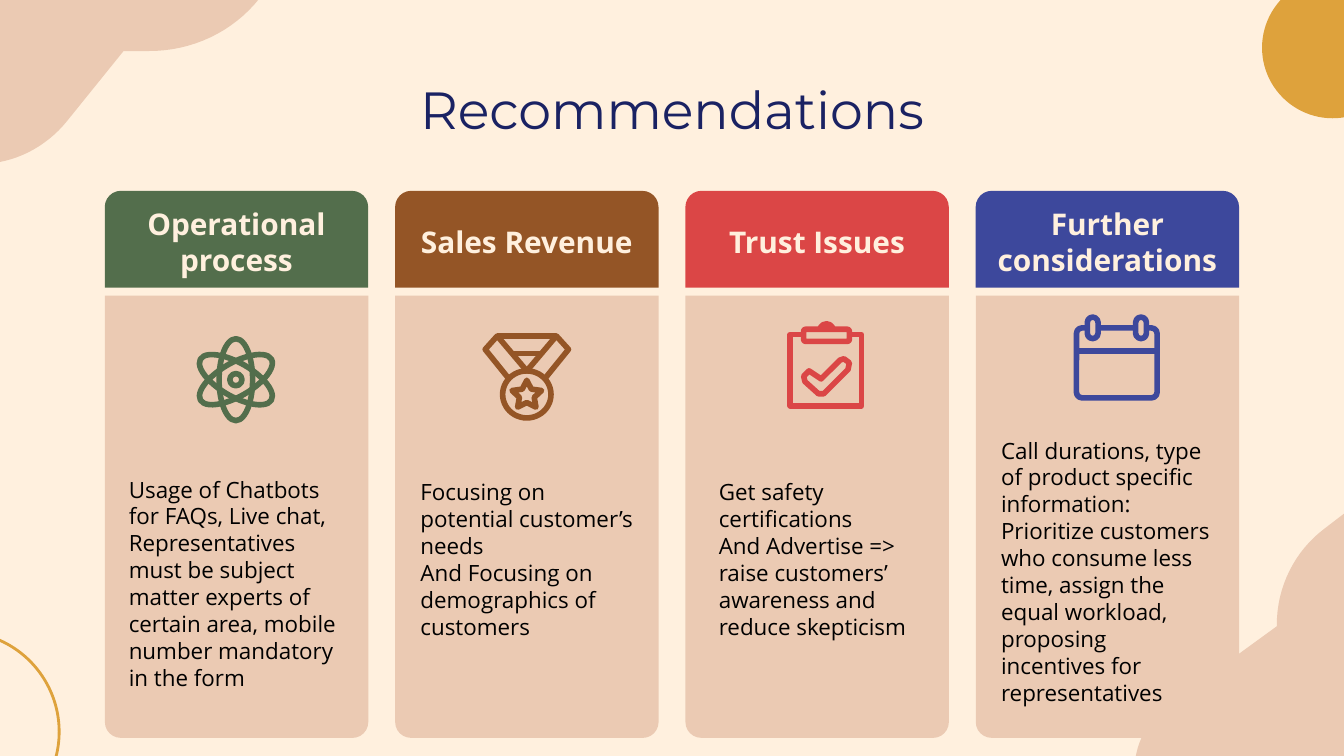
from pptx import Presentation
from pptx.util import Inches, Pt
from pptx.dml.color import RGBColor
from pptx.enum.shapes import MSO_SHAPE as Kind, MSO_CONNECTOR as Wire
from pptx.enum.text import PP_ALIGN as Align, MSO_ANCHOR as Anchor
from pptx.oxml.ns import qn
from lxml.etree import SubElement

HUES = {"cream": "FFF0DE", "sand": "EBCAB3", "gold": "DEA23C", "navy": "1A2263",
        "black": "000000", "green": "536E4C", "brown": "945526",
        "red": "DB4646", "blue": "3D489C"}
LEFT, TOP, WIDE, STEP = 0.78, 1.42, 1.96, 2.16
STROKE = 3


def rgb(hue):
    return RGBColor.from_string(HUES[hue])


def paint(shape, fill=None, line=None, width=STROKE):
    shape.shadow.inherit = False
    if fill:
        shape.fill.solid()
        shape.fill.fore_color.rgb = rgb(fill)
    else:
        shape.fill.background()
    if line:
        shape.line.color.rgb = rgb(line)
        shape.line.width = Pt(width)
        SubElement(shape._element.spPr.find(qn("a:ln")), qn("a:round"))
    else:
        shape.line.fill.background()
    return shape


def add(slide, kind, box, **look):
    return paint(slide.shapes.add_shape(kind, *map(Inches, box)), **look)


def trace(slide, pts, close=True, **look):
    pts = [(Inches(x), Inches(y)) for x, y in pts]
    pen = slide.shapes.build_freeform(*pts[0])
    pen.add_line_segments(pts[1:], close=close)
    return paint(pen.convert_to_shape(), **look)


def write(shape, lines, hue, anchor=Anchor.TOP, align=Align.LEFT, **font):
    frame = shape.text_frame
    form = {"word_wrap": True, "vertical_anchor": anchor}
    for side in ("left", "right", "top", "bottom"):
        form["margin_" + side] = Inches(0.1)
    for key, value in form.items():
        setattr(frame, key, value)
    for i, line in enumerate(lines):
        para = frame.add_paragraph() if i else frame.paragraphs[0]
        para.alignment = align
        run = para.add_run()
        run.text = line
        for key, value in font.items():
            setattr(run.font, key, value)
        run.font.color.rgb = rgb(hue)


def bend(steps, count=16):
    """Turn points (2 numbers) and cubic curves (6 numbers) into a polyline."""
    pts = []
    for step in steps:
        if len(step) == 2:
            pts.append(step)
            continue
        ax, ay = pts[-1]
        bx, by, cx, cy, dx, dy = step
        for i in range(1, count + 1):
            t = i / count
            u = 1 - t
            pts.append(tuple(u**3 * a + 3 * u*u*t * b + 3 * u*t*t * c + t**3 * d
                             for a, b, c, d in ((ax, bx, cx, dx), (ay, by, cy, dy))))
    return pts


def decor(slide):
    # Corner blobs
    blobs = [
        [(-0.15, 1.22), (-0.15, 0.29), (-0.15, 0.07, 0.03, -0.11, 0.25, -0.11),
         (2.02, -0.11), (1.93, -0.01), (1.73, 0.24, 1.43, 0.38, 1.11, 0.38),
         (0.92, 0.38), (0.5, 0.9), (0.34, 1.1, 0.1, 1.22, -0.15, 1.22)],
        [(8.44, 5.74), (8.44, 5.55, 8.53, 5.36, 8.69, 5.25), (9.5, 4.66),
         (9.5, 4.65), (9.5, 4.37, 9.63, 4.1, 9.86, 3.93), (10.12, 3.73),
         (10.12, 5.4), (10.12, 5.59, 9.96, 5.74, 9.77, 5.74)],
    ]
    for blob in blobs:
        trace(slide, bend(blob), fill="sand")
    # Ring and disc
    add(slide, Kind.OVAL, (-1.05, 4.7, 1.49, 1.49), line="gold", width=1.5)
    add(slide, Kind.OVAL, (9.39, -0.17, 1.05, 1.05), fill="gold")


def atom(slide, x, y, hue):
    for turn in (0, 60, 120):
        orbit = add(slide, Kind.OVAL, (x + 0.18, y + 0.02, 0.25, 0.61), line=hue)
        orbit.rotation = turn
    add(slide, Kind.OVAL, (x + 0.26, y + 0.28, 0.09, 0.09), line=hue)


def medal(slide, x, y, hue):
    bands = [[(0.19, 0.33), (0.02, 0.12), (0.11, 0.02), (0.55, 0.02),
              (0.64, 0.12), (0.47, 0.33)],
             [(0.11, 0.02), (0.33, 0.28), (0.55, 0.02)],
             [(0.23, 0.15), (0.43, 0.15)]]
    for band in bands:
        trace(slide, [(x + a, y + b) for a, b in band], close=False, line=hue)
    add(slide, Kind.OVAL, (x + 0.15, y + 0.28, 0.36, 0.35), line=hue)
    star = add(slide, Kind.STAR_5_POINT, (x + 0.22, y + 0.35, 0.22, 0.2), line=hue)
    star.adjustments[0] = 0.25


def board(slide, x, y, hue):
    add(slide, Kind.RECTANGLE, (x + 0.02, y + 0.1, 0.53, 0.53), line=hue)
    add(slide, Kind.OVAL, (x + 0.24, y + 0.02, 0.1, 0.1), line=hue)
    add(slide, Kind.ROUNDED_RECTANGLE, (x + 0.12, y + 0.06, 0.34, 0.09),
        fill="sand", line=hue)
    tick = [(0.12, 0.41), (0.16, 0.37), (0.25, 0.43), (0.39, 0.29), (0.42, 0.28),
            (0.46, 0.31), (0.45, 0.36), (0.27, 0.54), (0.23, 0.54), (0.13, 0.45)]
    trace(slide, [(x + a, y + b) for a, b in tick], line=hue)


def diary(slide, x, y, hue):
    page = add(slide, Kind.ROUNDED_RECTANGLE, (x + 0.02, y + 0.1, 0.6, 0.52), line=hue)
    page.adjustments[0] = 0.08
    rule = slide.shapes.add_connector(
        Wire.STRAIGHT, *map(Inches, (x + 0.02, y + 0.27, x + 0.62, y + 0.27)))
    rule.line.color.rgb = rgb(hue)
    rule.line.width = Pt(STROKE)
    SubElement(rule._element.spPr, qn("a:effectLst"))
    for dx in (0.1, 0.46):
        ring = add(slide, Kind.ROUNDED_RECTANGLE, (x + dx, y + 0.02, 0.08, 0.16),
                   fill="sand", line=hue)
        ring.adjustments[0] = 0.5


def card(slide, x, y, head, hue, icon, spot, lines, place):
    # Body, rounded at the foot
    body = add(slide, Kind.ROUND_2_SAME_RECTANGLE, (x, y + 0.78, WIDE, 3.29), fill="sand")
    body.rotation = 180
    body.adjustments[0] = 0.06
    # Heading
    top = add(slide, Kind.ROUND_2_SAME_RECTANGLE, (x, y, WIDE, 0.72), fill=hue)
    write(top, [head], "cream", Anchor.MIDDLE, Align.CENTER,
          name="Open Sans", size=Pt(16), bold=True)
    # Icon and text
    icon(slide, x + spot[0], y + spot[1], hue)
    dx, dy, high = place
    note = slide.shapes.add_textbox(*map(Inches, (x + dx, y + dy, 1.79, high)))
    write(note, lines, "black", name="Open Sans", size=Pt(12))


CARDS = [
    ("Operational process", "green", atom, (0.67, 1.08),
     ["Usage of Chatbots for FAQs, Live chat,",
      "Representatives must be subject matter experts of certain area, "
      "mobile number mandatory in the form"], (0.08, 2.02, 1.57)),
    ("Sales Revenue", "brown", medal, (0.65, 1.06),
     ["Focusing on potential customer’s needs",
      "And Focusing on demographics of customers"], (0.09, 2.04, 0.84)),
    ("Trust Issues", "red", board, (0.76, 0.97),
     ["Get safety certifications",
      "And Advertise => raise customers’ awareness and reduce skepticism"],
     (0.15, 2.04, 0.84)),
    ("Further considerations", "blue", diary, (0.73, 0.92),
     ["Call durations, type of product specific information:",
      "Prioritize customers who consume less time, assign the equal workload, "
      "proposing incentives for representatives"], (0.09, 1.73, 0.84)),
]


def main():
    deck = Presentation()
    deck.slide_width = Inches(10)
    deck.slide_height = deck.slide_width * 9 // 16
    slide = deck.slides.add_slide(deck.slide_layouts[5])
    slide.background.fill.solid()
    slide.background.fill.fore_color.rgb = rgb("cream")
    decor(slide)
    # Title
    title = slide.shapes.title
    box = {"left": LEFT, "top": 0.49, "width": 8.44, "height": 0.63}
    for key, value in box.items():
        setattr(title, key, Inches(value))
    write(title, ["Recommendations"], "navy", Anchor.MIDDLE, Align.CENTER,
          name="Montserrat", size=Pt(28))
    # Four cards
    for i, parts in enumerate(CARDS):
        card(slide, LEFT + i * STEP, TOP, *parts)
    deck.save("out.pptx")


if __name__ == "__main__":
    main()
